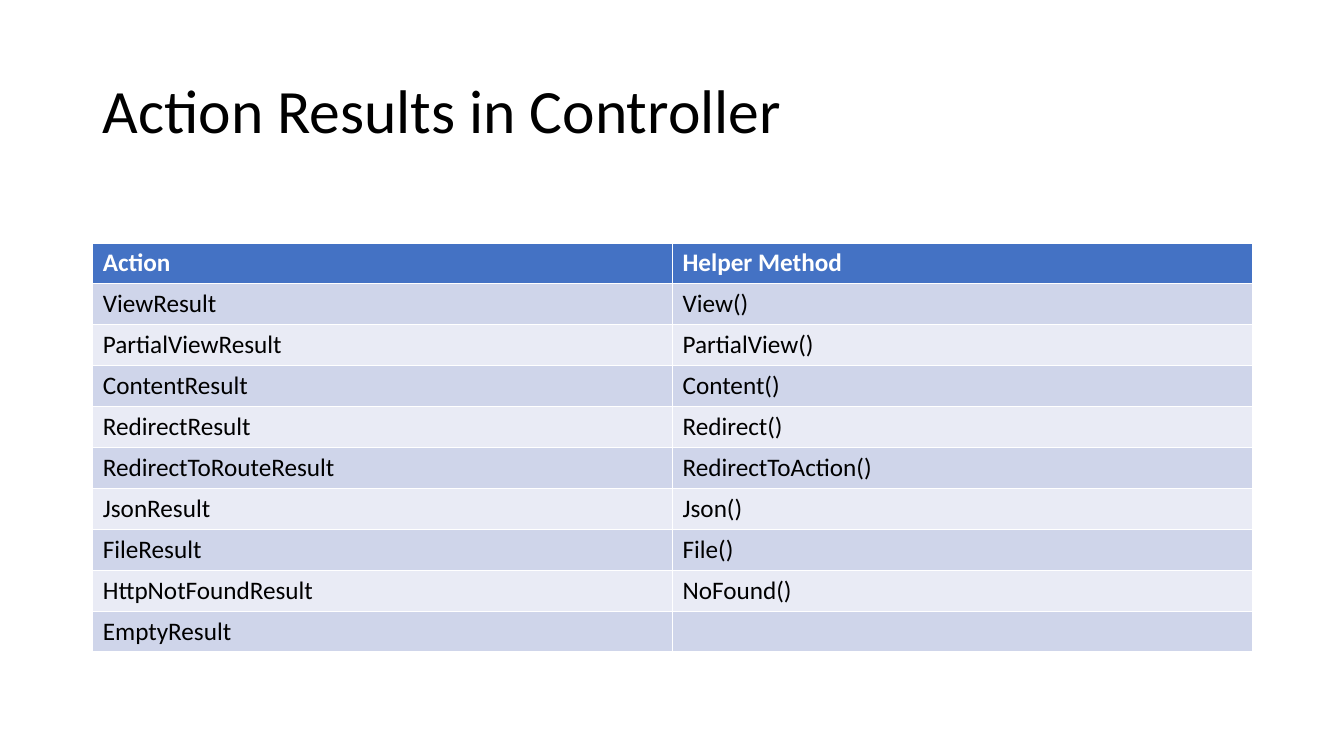
from pptx import Presentation
from pptx.dml.color import RGBColor
from pptx.enum.text import MSO_ANCHOR
from pptx.util import Inches, Pt

FONT = "Calibri"
COLORS = {
    "text": "000000",
    "header_text": "FFFFFF",
    "header": "4472C4",
    "odd_row": "CFD5EA",
    "even_row": "E9EBF5",
}
ACTION_RESULTS = [
    ("Action", "Helper Method"),
    ("ViewResult", "View()"),
    ("PartialViewResult", "PartialView()"),
    ("ContentResult", "Content()"),
    ("RedirectResult", "Redirect()"),
    ("RedirectToRouteResult", "RedirectToAction()"),
    ("JsonResult", "Json()"),
    ("FileResult", "File()"),
    ("HttpNotFoundResult", "NoFound()"),
    ("EmptyResult", ""),
]


def color(name):
    return RGBColor.from_string(COLORS[name])


def style_paragraph(paragraph, size, color_name, bold=False):
    font = paragraph.font
    font.name = FONT
    font.size = Pt(size)
    font.bold = bold
    font.color.rgb = color(color_name)


def add_title(slide, text, left, top, width, height):
    shape = slide.shapes.add_textbox(
        Inches(left), Inches(top), Inches(width), Inches(height))
    frame = shape.text_frame
    frame.word_wrap = True
    frame.vertical_anchor = MSO_ANCHOR.MIDDLE
    paragraph = frame.paragraphs[0]
    paragraph.text = text
    paragraph.line_spacing = 0.9
    style_paragraph(paragraph, 44, "text")


def add_results_table(slide, rows, left, top, width, height):
    # The default table style supplies the white cell borders
    table = slide.shapes.add_table(
        len(rows), len(rows[0]),
        Inches(left), Inches(top), Inches(width), Inches(height)).table
    for row_index, row in enumerate(rows):
        is_header = row_index == 0
        if is_header:
            fill_name = "header"
        else:
            fill_name = "odd_row" if row_index % 2 else "even_row"
        for column_index, text in enumerate(row):
            cell = table.cell(row_index, column_index)
            cell.fill.solid()
            cell.fill.fore_color.rgb = color(fill_name)
            paragraph = cell.text_frame.paragraphs[0]
            if text:
                paragraph.text = text
            style_paragraph(
                paragraph, 18, "header_text" if is_header else "text", is_header)


def main():
    presentation = Presentation()
    presentation.slide_width = Inches(13.33)
    presentation.slide_height = Inches(7.5)
    slide = presentation.slides.add_slide(presentation.slide_layouts[6])

    # Title above, table below, sharing one column
    left, width = 0.92, 11.5
    add_title(slide, "Action Results in Controller", left, 0.4, width, 1.45)
    add_results_table(slide, ACTION_RESULTS, left, 2.41, width, 4.06)

    presentation.save("out.pptx")


if __name__ == "__main__":
    main()
